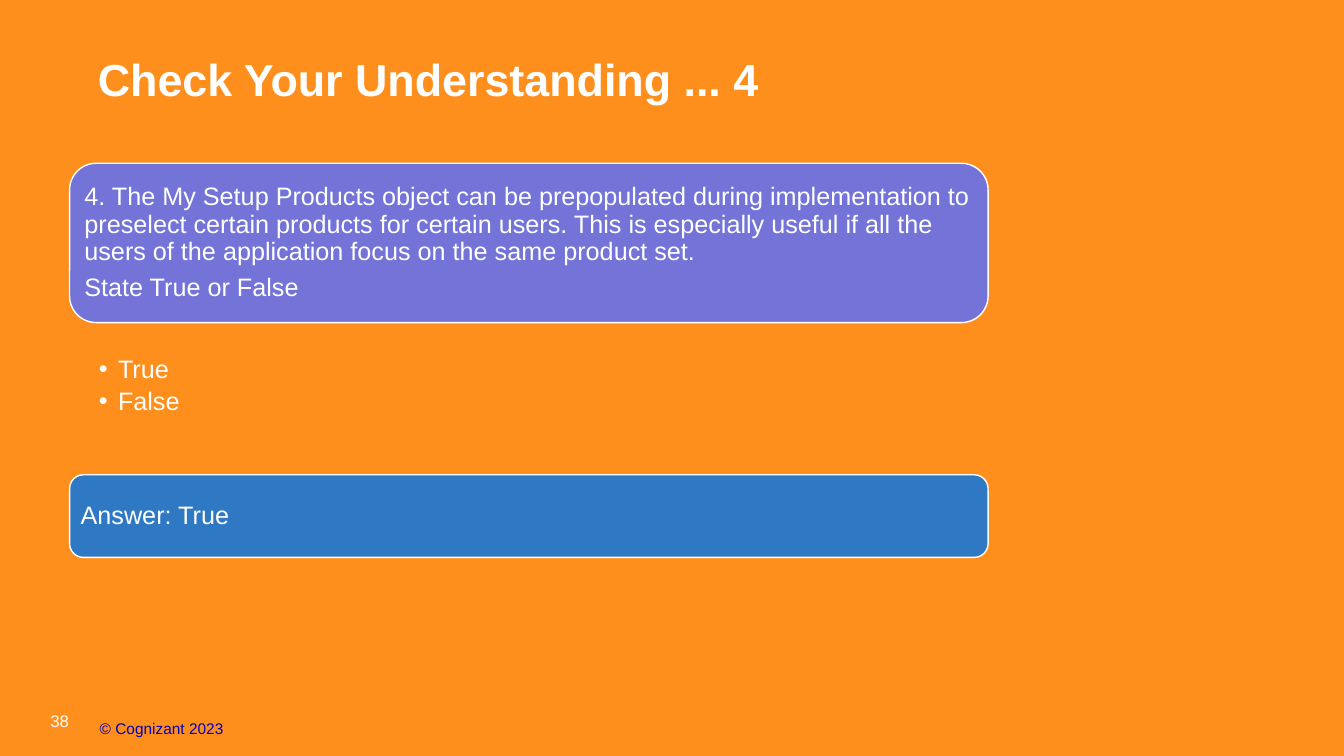
from dataclasses import dataclass

from pptx import Presentation
from pptx import util as u
from pptx.dml import color
from pptx.enum import shapes, text

EMU_PER_PX = 9144
WHITE = "FFFFFF"
ORANGE = "FF8F1C"
NAVY = "0000B6"
PANEL_LEFT, PANEL_WIDTH = 69, 911


@dataclass(frozen=True)
class Panel:
    top: int
    height: int
    fill: str
    lines: tuple[str, ...]


PANELS = (
    Panel(162, 158, "7373D8", (
        "4. The My Setup Products object can be prepopulated during implementation "
        "to preselect certain products for certain users. This is especially useful "
        "if all the users of the application focus on the same product set.",
        "State True or False",
    )),
    Panel(471, 82, "2F78C4", ("Answer: True",)),
)


def px(length: int) -> u.Emu:
    return u.Emu(length * EMU_PER_PX)


def rgb(value: str) -> color.RGBColor:
    return color.RGBColor.from_string(value)


def place(shape, left: int, top: int, width: int, height: int) -> None:
    shape.left, shape.top = px(left), px(top)
    shape.width, shape.height = px(width), px(height)


def write(shape, *lines: str, size: int = 18, ink: str = WHITE, bold: bool = False,
          anchor=text.MSO_ANCHOR.MIDDLE, insets: tuple[int, ...] = (10, 5, 10, 5),
          wrap: bool = True, spacing: float = 1.0, after: float = 0,
          hanging: int = 0) -> None:
    frame = shape.text_frame
    frame.text = "\n".join(lines)
    frame.auto_size = text.MSO_AUTO_SIZE.NONE
    frame.word_wrap = wrap
    frame.vertical_anchor = anchor
    (frame.margin_left, frame.margin_top,
     frame.margin_right, frame.margin_bottom) = map(px, insets)
    for paragraph in frame.paragraphs:
        if hanging:
            properties = paragraph._p.get_or_add_pPr()
            properties.set("marL", str(px(hanging)))
            properties.set("indent", str(-px(hanging)))
        paragraph.alignment = text.PP_ALIGN.LEFT
        paragraph.line_spacing = spacing
        paragraph.space_before = u.Pt(0)
        paragraph.space_after = u.Pt(after)
        font = paragraph.font
        font.name, font.size, font.bold = "Arial", u.Pt(size), bold
        font.color.rgb = rgb(ink)


def draw_panel(slide, panel: Panel) -> None:
    shape = slide.shapes.add_shape(shapes.MSO_SHAPE.ROUNDED_RECTANGLE, 0, 0, 0, 0)
    place(shape, PANEL_LEFT, panel.top, PANEL_WIDTH, panel.height)
    shape.shadow.inherit = False
    shape.fill.solid()
    shape.fill.fore_color.rgb = rgb(panel.fill)
    shape.line.color.rgb = rgb(WHITE)
    shape.line.width = u.Pt(1)
    write(shape, *panel.lines, insets=(7, 7, 7, 7), spacing=0.9, after=6.3)


def add_label(slide, left: int, top: int, width: int, height: int,
              label: str, **style) -> None:
    box = slide.shapes.add_textbox(0, 0, 0, 0)
    place(box, left, top, width, height)
    write(box, label, **style)


def main() -> None:
    presentation = Presentation()
    presentation.slide_width, presentation.slide_height = px(1333), px(750)
    slide = presentation.slides.add_slide(presentation.slide_layouts[1])
    slide.background.fill.solid()
    slide.background.fill.fore_color.rgb = rgb(ORANGE)

    title = slide.shapes.title
    place(title, 87, 17, 1026, 121)
    write(title, "Check Your Understanding ... 4", size=32, bold=True)

    choices = slide.placeholders[1]
    place(choices, PANEL_LEFT, 351, PANEL_WIDTH, 96)
    write(choices, "True", "False", anchor=text.MSO_ANCHOR.TOP,
          insets=(29, 3, 14, 3), spacing=0.9, after=3.6, hanging=19)

    for panel in PANELS:
        draw_panel(slide, panel)

    add_label(slide, 50, 692, 39, 33, "38", size=12, wrap=False,
              anchor=text.MSO_ANCHOR.BOTTOM, insets=(0, 0, 0, 0))
    add_label(slide, 89, 708, 200, 25, "© Cognizant 2023", size=11, ink=NAVY,
              anchor=text.MSO_ANCHOR.TOP)
    presentation.save("out.pptx")


if __name__ == "__main__":
    main()
